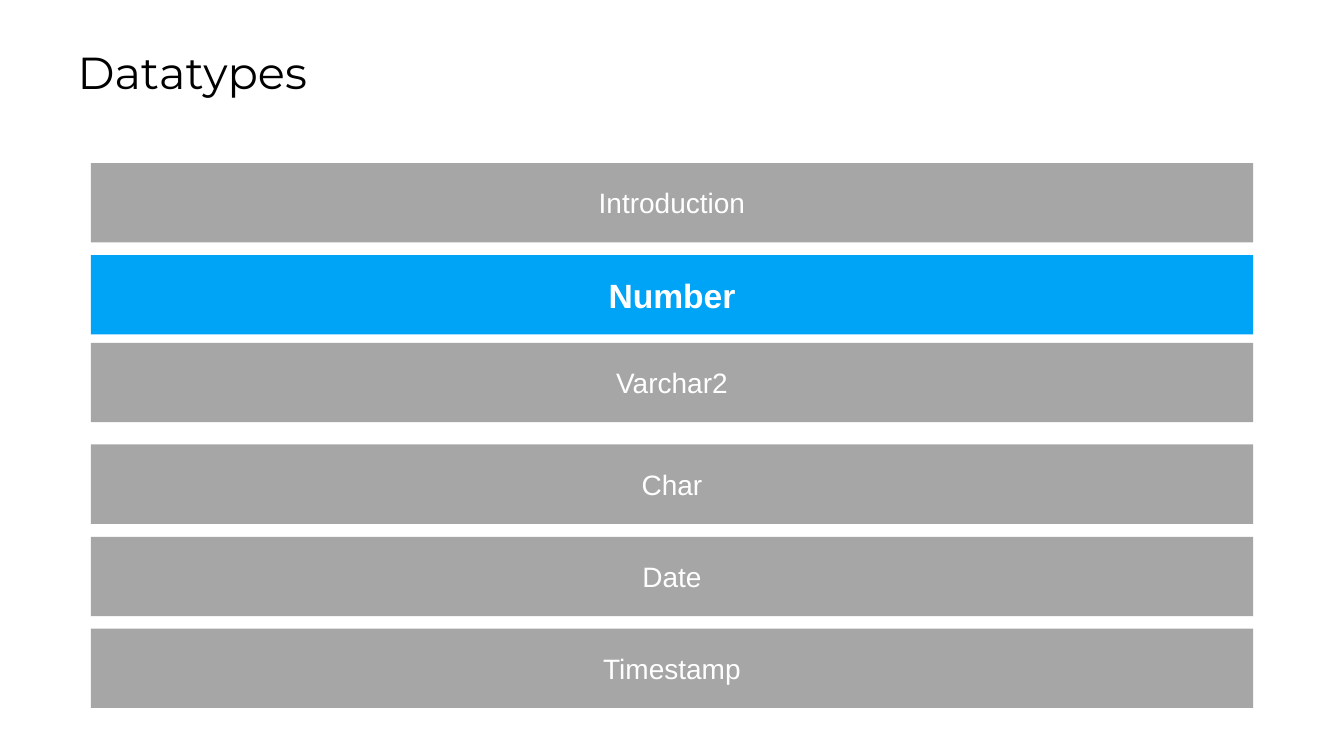
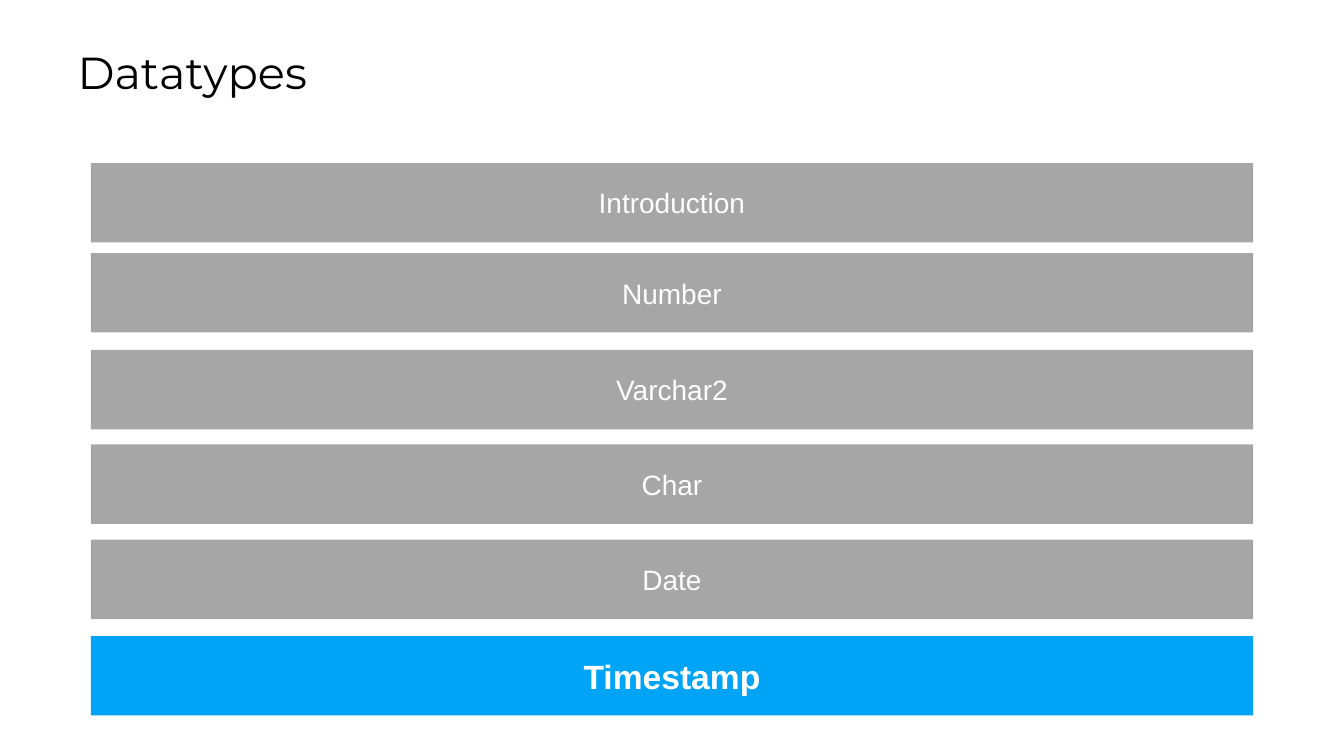
from dataclasses import dataclass

from pptx import Presentation
from pptx import util as u
from pptx.dml.color import RGBColor
from pptx.enum import shapes, text


@dataclass(frozen=True)
class Theme:
    """Colours, fonts and type sizes shared by the slides."""
    ink: str = "000000"
    paper: str = "FFFFFF"
    muted: str = "A6A6A6"
    accent: str = "00A4F6"
    title_font: str = "Montserrat"
    body_font: str = "Arial"
    title_size: int = 32
    topic_size: int = 20
    current_size: int = 24


theme = Theme()


def write(shape, words, *, font, size, color, bold=False, align=text.PP_ALIGN.LEFT):
    """Put one formatted, vertically centred paragraph into a shape."""
    frame = shape.text_frame
    frame.word_wrap = True
    frame.vertical_anchor = text.MSO_ANCHOR.MIDDLE
    paragraph = frame.paragraphs[0]
    paragraph.alignment = align
    run = paragraph.add_run()
    run.text = words
    run.font.name = font
    run.font.size = u.Pt(size)
    run.font.bold = bold
    run.font.color.rgb = RGBColor.from_string(color)


def add_topic(slide, topic, top, is_current):
    """Draw one full-width agenda bar, highlighted when it is current."""
    bar = slide.shapes.add_shape(
        shapes.MSO_SHAPE.RECTANGLE, u.Cm(2.29), u.Cm(top), u.Cm(29.29), u.Cm(2))
    bar.shadow.inherit = False
    bar.fill.solid()
    bar.fill.fore_color.rgb = RGBColor.from_string(
        theme.accent if is_current else theme.muted)
    bar.line.fill.background()
    write(bar, topic, font=theme.body_font, color=theme.paper, bold=is_current,
          size=theme.current_size if is_current else theme.topic_size,
          align=text.PP_ALIGN.CENTER)


presentation = Presentation()
presentation.slide_width = u.Cm(33.87)
presentation.slide_height = u.Cm(19.05)
title_only = presentation.slide_layouts[5]

topics = ["Introduction", "Number", "Varchar2", "Char", "Date", "Timestamp"]
# Current topic of each slide, with the top of every bar in centimetres
agendas = [
    ("Number", [4.11, 6.43, 8.64, 11.2, 13.53, 15.84]),
    ("Timestamp", [4.11, 6.38, 8.82, 11.2, 13.6, 16.03]),
]

for current, tops in agendas:
    slide = presentation.slides.add_slide(title_only)
    slide.background.fill.solid()
    slide.background.fill.fore_color.rgb = RGBColor.from_string(theme.paper)

    title = slide.shapes.title
    title.left, title.top = u.Cm(1.7), u.Cm(0.99)
    title.width, title.height = u.Cm(30.63), u.Cm(1.62)
    write(title, "Datatypes", font=theme.title_font, size=theme.title_size,
          color=theme.ink)
    title.text_frame.auto_size = text.MSO_AUTO_SIZE.SHAPE_TO_FIT_TEXT

    for topic, top in zip(topics, tops):
        add_topic(slide, topic, top, topic == current)

presentation.save("out.pptx")
